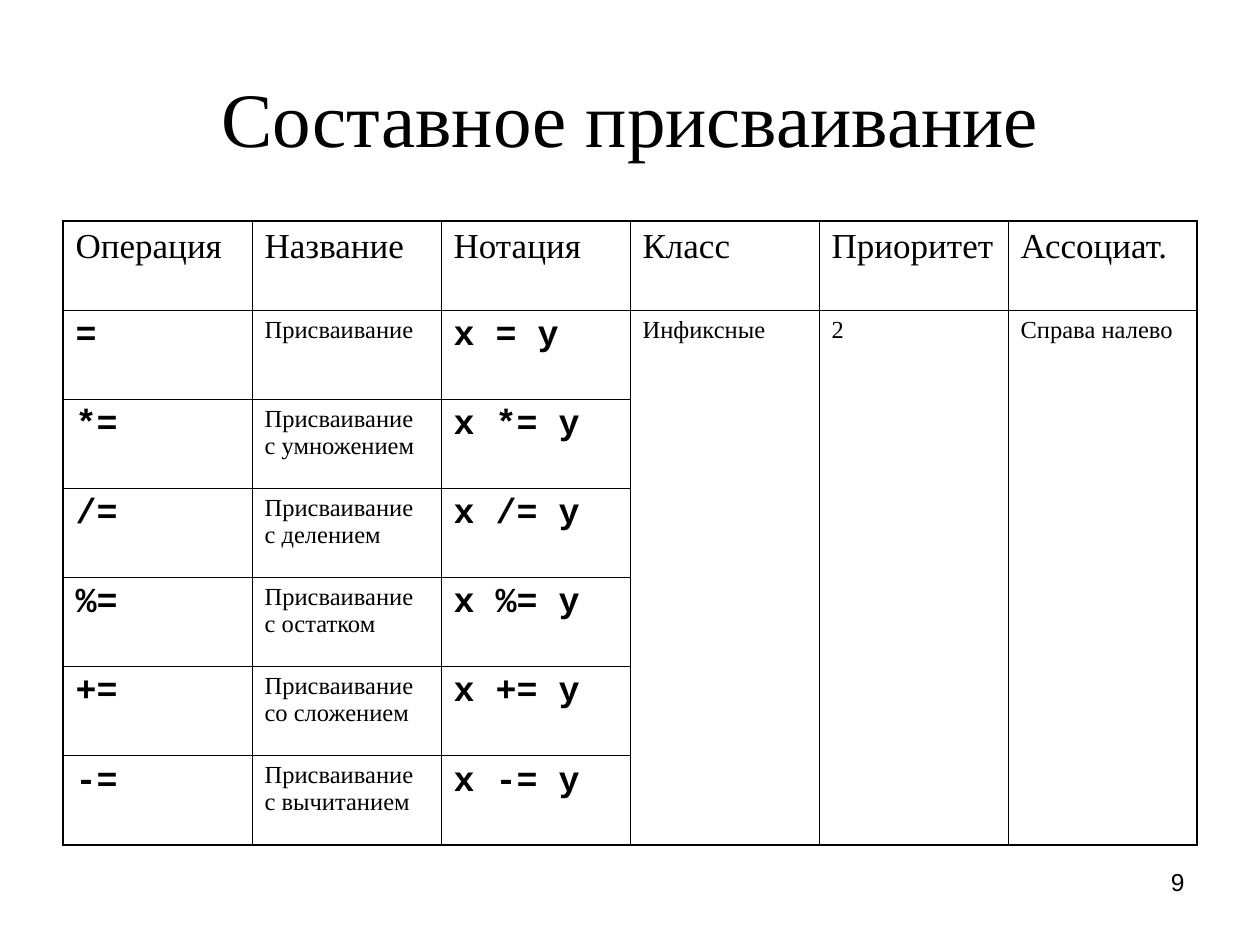
"""Build a slide with a table of compound assignment operators."""
from lxml.etree import SubElement
from pptx import Presentation
from pptx.dml.color import RGBColor
from pptx.enum.text import MSO_ANCHOR, MSO_AUTO_SIZE, PP_ALIGN
from pptx.oxml.ns import qn
from pptx.util import Cm, Pt

COLORS = {"ink": "000000"}
SERIF, MONO, SANS = "Times New Roman", "Courier New", "Arial"
THIN, THICK = 0.45, 1.08
HEADS = ["Операция", "Название", "Нотация", "Класс", "Приоритет", "Ассоциат."]
NAMES = {
    "=": "Присваивание",
    "*=": "Присваивание с умножением",
    "/=": "Присваивание с делением",
    "%=": "Присваивание с остатком",
    "+=": "Присваивание со сложением",
    "-=": "Присваивание с вычитанием",
}
SHARED = ["Инфиксные", "2", "Справа налево"]


def write(frame, text, size=20, font=SERIF, bold=False, align=PP_ALIGN.LEFT, before=0):
    """Put one formatted paragraph into a text frame."""
    frame.word_wrap = True
    para = frame.paragraphs[0]
    para.alignment = align
    para.space_before = Pt(before)
    run = para.add_run()
    run.text = text
    run.font.size = Pt(size)
    run.font.name = font
    run.font.bold = bold
    run.font.color.rgb = RGBColor.from_string(COLORS["ink"])


def edge(cell, side, width):
    """Draw one border of a table cell."""
    line = SubElement(cell._tc.get_or_add_tcPr(), qn(f"a:ln{side}"), w=str(Pt(width)))
    fill = SubElement(line, qn("a:solidFill"))
    SubElement(fill, qn("a:srgbClr"), val=COLORS["ink"])


class Deck:
    """Hold the presentation and its current slide."""

    def __init__(self):
        """Start a deck with one title slide."""
        self.file = Presentation()
        self.file.slide_width, self.file.slide_height = Cm(25.4), Cm(19.05)
        self.slide = self.file.slides.add_slide(self.file.slide_layouts[5])

    def title(self, text):
        """Fill and place the title."""
        shape = self.slide.shapes.title
        shape.left, shape.top = Cm(1.27), Cm(0.76)
        shape.width, shape.height = Cm(22.86), Cm(3.18)
        frame = shape.text_frame
        frame.auto_size = MSO_AUTO_SIZE.NONE
        frame.vertical_anchor = MSO_ANCHOR.MIDDLE
        write(frame, text, size=44, align=PP_ALIGN.CENTER)

    def label(self, text, left, top, width, height, **form):
        """Add a text box."""
        box = self.slide.shapes.add_textbox(Cm(left), Cm(top), Cm(width), Cm(height))
        write(box.text_frame, text, **form)

    def table(self, heads, names, shared):
        """Add the table, with shared cells merged down the right-hand columns."""
        rows, cols = len(names) + 1, len(heads)
        grid = self.slide.shapes.add_table(
            rows, cols, Cm(1.27), Cm(4.45), Cm(22.86), Cm(12.58)).table
        grid.first_row = grid.horz_banding = False
        first = cols - len(shared)
        for col in range(first, cols):
            grid.cell(1, col).merge(grid.cell(rows - 1, col))
        for row in range(rows):
            for col in range(cols):
                self.frame(grid.cell(row, col), row, col, rows, cols)
        for col, text in enumerate(heads):
            write(grid.cell(0, col).text_frame, text, before=5)
        for row, (sign, name) in enumerate(names.items(), 1):
            for col, text in ((0, sign), (2, f"x {sign} y")):
                write(grid.cell(row, col).text_frame, text, font=MONO, bold=True, before=5)
            write(grid.cell(row, 1).text_frame, name, size=14, before=3.5)
        for col, text in enumerate(shared, first):
            write(grid.cell(1, col).text_frame, text, size=14, before=3.5)

    def frame(self, cell, row, col, rows, cols):
        """Border a cell, thick on the outside of the table."""
        last = row + (cell.span_height if cell.is_merge_origin else 1) == rows
        edge(cell, "L", THICK if col == 0 else THIN)
        edge(cell, "R", THICK if col == cols - 1 else THIN)
        if not cell.is_spanned:
            edge(cell, "T", THICK if row == 0 else THIN)
        if last or not cell.is_spanned:
            edge(cell, "B", THICK if last else THIN)
        cell.fill.background()


def main():
    """Build and save the slide."""
    deck = Deck()
    deck.title("Составное присваивание")
    deck.table(HEADS, NAMES, SHARED)
    deck.label("9", 18.2, 17.35, 5.93, 1.32, size=14, font=SANS, align=PP_ALIGN.RIGHT)
    deck.file.save("out.pptx")


if __name__ == "__main__":
    main()
